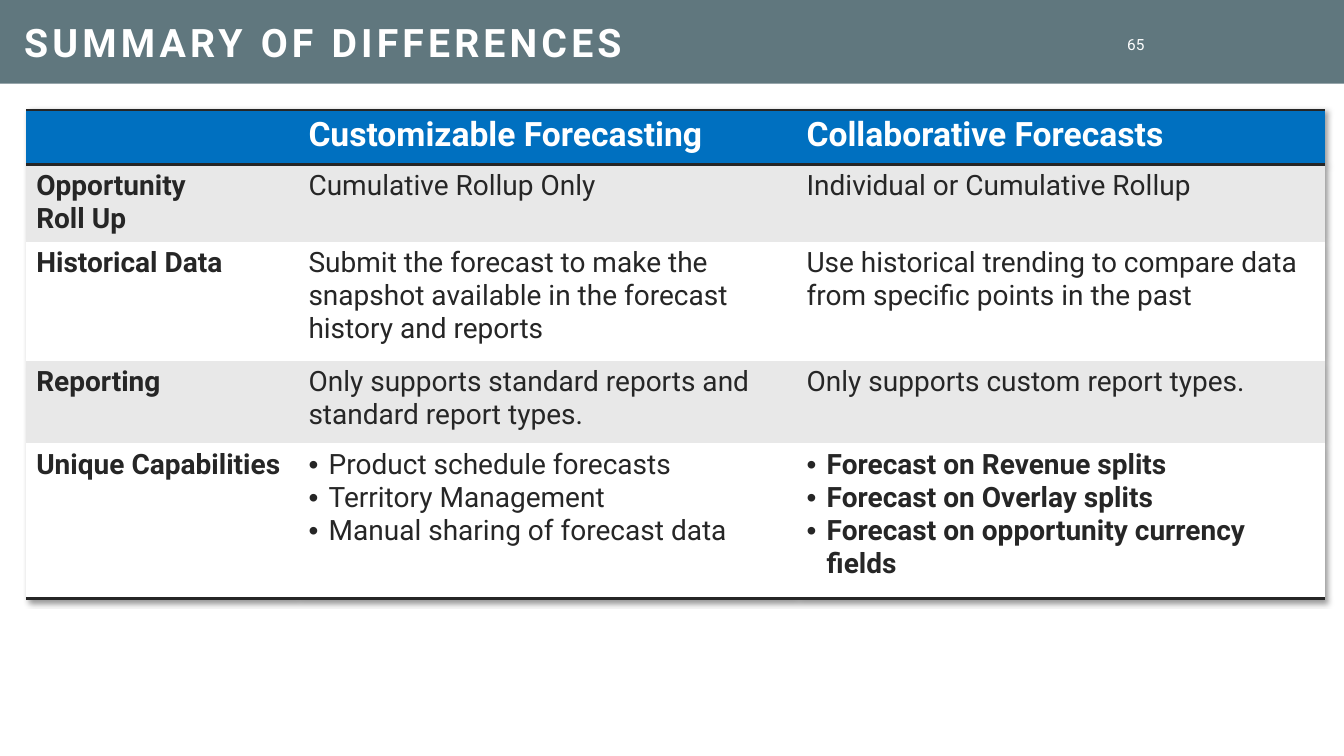
from lxml import etree
from pptx import Presentation
from pptx.dml.color import RGBColor
from pptx.enum.shapes import MSO_SHAPE
from pptx.enum.text import MSO_ANCHOR, MSO_AUTO_SIZE, PP_ALIGN
from pptx.oxml import parse_xml
from pptx.oxml.ns import nsdecls, qn
from pptx.util import Inches, Pt

RECTANGLE = MSO_SHAPE.RECTANGLE
MIDDLE = MSO_ANCHOR.MIDDLE
NO_AUTOFIT = MSO_AUTO_SIZE.NONE
LEFT, RIGHT = PP_ALIGN.LEFT, PP_ALIGN.RIGHT

SLATE = RGBColor(0x60, 0x77, 0x7E)
BLUE = RGBColor(0x00, 0x70, 0xC0)
GREY = RGBColor(0xE8, 0xE8, 0xE8)
WHITE = RGBColor(0xFF, 0xFF, 0xFF)
INK = RGBColor(0x26, 0x26, 0x26)
FONT = "Roboto"

TITLE = "SUMMARY OF DIFFERENCES"
PAGE = "65"
COMPARISON = [
    ("", "Customizable Forecasting", "Collaborative Forecasts"),
    ("Opportunity\vRoll Up", "Cumulative Rollup Only", "Individual or Cumulative Rollup"),
    ("Historical Data",
     "Submit the forecast to make the snapshot available in the forecast history and reports",
     "Use historical trending to compare data from specific points in the past"),
    ("Reporting",
     "Only supports standard reports and standard report types.",
     "Only supports custom report types."),
    ("Unique Capabilities",
     ["Product schedule forecasts", "Territory Management", "Manual sharing of forecast data"],
     ["Forecast on Revenue splits", "Forecast on Overlay splits",
      "Forecast on opportunity currency fields"]),
]
COLUMN_WIDTHS = [2.7, 4.94, 5.24]
ROW_HEIGHTS = [0.54, 0.75, 1.18, 0.82, 1.54]
LAST_ROW = len(COMPARISON) - 1
BOLD_CELLS = {(LAST_ROW, 2)}


def style(paragraph, size, color, bold=False):
    font = paragraph.font
    font.name, font.size, font.bold = FONT, Pt(size), bold
    font.color.rgb = color


def set_margins(frame, left, top, right, bottom):
    frame.margin_left, frame.margin_top = Inches(left), Inches(top)
    frame.margin_right, frame.margin_bottom = Inches(right), Inches(bottom)


def add_bullet(paragraph):
    properties = paragraph._p.get_or_add_pPr()
    properties.set("marL", str(Inches(0.2)))
    properties.set("indent", str(-Inches(0.2)))
    etree.SubElement(properties, qn("a:buFont")).set("typeface", "Arial")
    etree.SubElement(properties, qn("a:buChar")).set("char", "•")


def set_borders(cell, ruled_sides):
    properties = cell._tc.get_or_add_tcPr()
    for position, side in enumerate(("lnL", "lnR", "lnT", "lnB")):
        if side in ruled_sides:
            width, paint = Pt(2), f'<a:solidFill><a:srgbClr val="{INK}"/></a:solidFill>'
        else:
            width, paint = 0, "<a:noFill/>"
        line = parse_xml(f'<a:{side} {nsdecls("a")} w="{width}">{paint}</a:{side}>')
        properties.insert(position, line)


def add_title_band(slide, slide_width):
    band = slide.shapes.add_shape(RECTANGLE, 0, 0, slide_width, Inches(0.83))
    band.shadow.inherit = False
    band.fill.solid()
    band.fill.fore_color.rgb = SLATE
    band.line.fill.background()
    slide.shapes._spTree.insert(2, band._element)

    title = slide.shapes.title
    title.left, title.top = Inches(0.14), 0
    title.width, title.height = Inches(10.78), Inches(0.82)
    frame = title.text_frame
    frame.text = TITLE
    frame.word_wrap, frame.auto_size = True, NO_AUTOFIT
    frame.vertical_anchor = MIDDLE
    set_margins(frame, 0.1, 0.15, 0.1, 0.05)
    heading = frame.paragraphs[0]
    heading.alignment, heading.line_spacing = LEFT, 0.8
    style(heading, 28, WHITE, True)
    heading.runs[0]._r.get_or_add_rPr().set("spc", "300")

    page_box = slide.shapes.add_textbox(Inches(10.92), Inches(0.33), Inches(0.53), Inches(0.22))
    frame = page_box.text_frame
    frame.text, frame.word_wrap, frame.vertical_anchor = PAGE, True, MIDDLE
    set_margins(frame, 0.1, 0, 0.1, 0)
    frame.paragraphs[0].alignment = RIGHT
    style(frame.paragraphs[0], 11, WHITE)


def fill_cell(cell, content, row, column):
    header = row == 0
    bulleted = isinstance(content, list)
    cell.text = "\n".join(content) if bulleted else content
    bold = header or column == 0 or (row, column) in BOLD_CELLS
    for paragraph in cell.text_frame.paragraphs:
        if bulleted:
            add_bullet(paragraph)
        style(paragraph, 24 if header else 20, WHITE if header else INK, bold)
    cell.fill.solid()
    cell.fill.fore_color.rgb = BLUE if header else GREY if row % 2 else WHITE
    sides = {0: ("lnT", "lnB"), 1: ("lnT",), LAST_ROW: ("lnB",)}
    set_borders(cell, sides.get(row, ()))


def add_comparison(slide):
    frame = slide.shapes.add_table(
        len(COMPARISON), len(COLUMN_WIDTHS), Inches(0.26), Inches(1.09),
        Inches(sum(COLUMN_WIDTHS)), Inches(sum(ROW_HEIGHTS)))
    table = frame.table
    table.horz_banding = False
    table._tbl.tblPr.insert(0, parse_xml(
        f'<a:effectLst {nsdecls("a")}>'
        '<a:outerShdw blurRad="50800" dist="38100" dir="2700000" algn="tl" rotWithShape="0">'
        '<a:srgbClr val="000000"><a:alpha val="40000"/></a:srgbClr>'
        '</a:outerShdw></a:effectLst>'))
    for column, width in zip(table.columns, COLUMN_WIDTHS):
        column.width = Inches(width)
    for row, height in zip(table.rows, ROW_HEIGHTS):
        row.height = Inches(height)
    for r, contents in enumerate(COMPARISON):
        for c, content in enumerate(contents):
            fill_cell(table.cell(r, c), content, r, c)


def main():
    deck = Presentation()
    deck.slide_width, deck.slide_height = Inches(13.33), Inches(7.5)
    slide = deck.slides.add_slide(deck.slide_layouts[5])
    add_title_band(slide, deck.slide_width)
    add_comparison(slide)
    deck.save("out.pptx")


if __name__ == "__main__":
    main()
